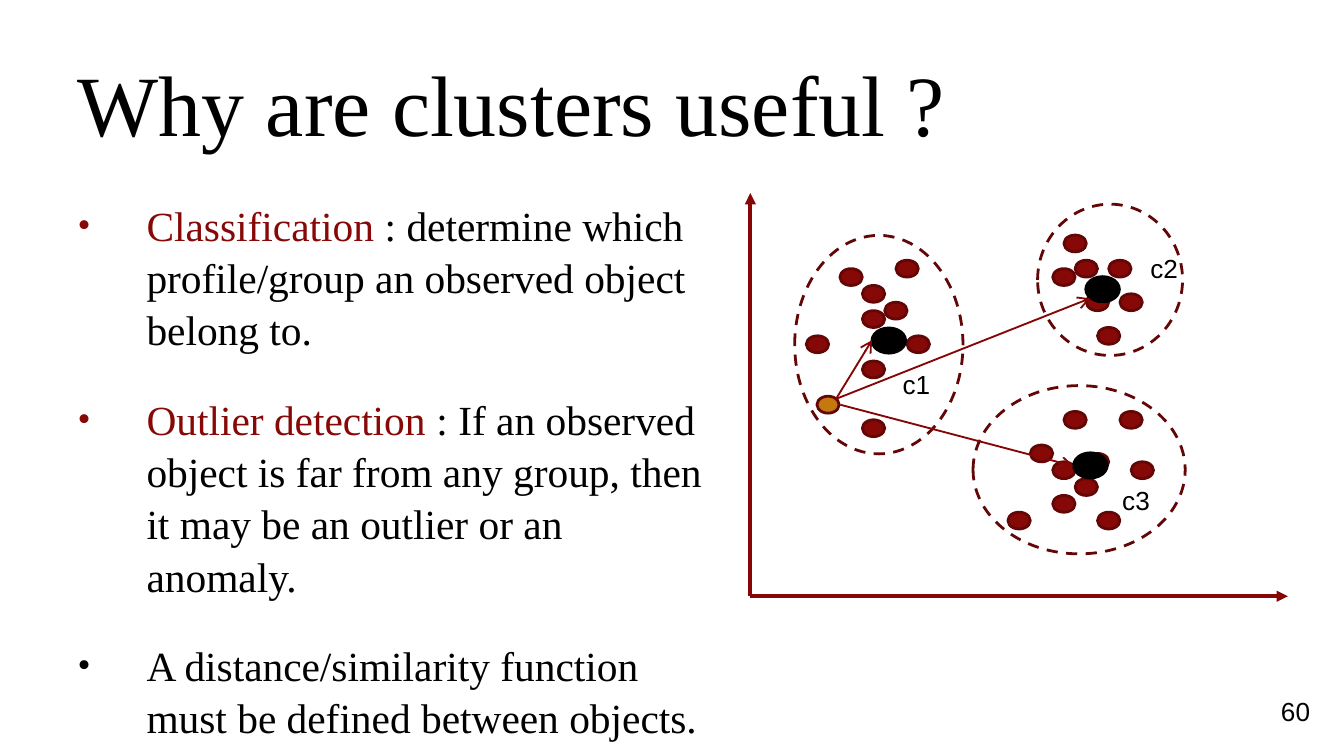
"""Build the slide "Why are clusters useful ?" with bullets and a cluster diagram."""
from lxml import etree
from pptx import Presentation, util as u
from pptx.dml.color import RGBColor
from pptx.enum import dml, shapes, text
from pptx.oxml.ns import qn

COLOURS = {"ink": "000000", "accent": "860908", "edge": "630706",
           "axis": "860605", "outlier": "C47810"}
SERIF, SANS = "Times New Roman", "Arial"

TITLE = "Why are clusters useful ?"
BULLETS = [
    [("Classification", "accent"),
     (" : determine which profile/group an observed object belong to.", "ink")],
    [("Outlier detection ", "accent"),
     (": If an observed object is far from any group, then it may be an outlier or an anomaly.", "ink")],
    [("A distance/similarity function must be defined between objects.", "ink")],
]
PAGE = "60"

PLOT = (14.18, 3.65, 10.16, 7.62)
GRID = 48
CLUSTERS = [
    {"label": "c1", "label_at": (16.81, 6.83), "ring": (15.02, 4.45, 3.18, 4.13),
     "centre": (16.48, 6.2),
     "members": [(8, 9), (5, 17), (10, 27), (10, 14), (10, 20), (14, 17),
                 (10, 11), (12, 13), (13, 8)]},
    {"label": "c2", "label_at": (21.49, 4.65), "ring": (19.61, 3.86, 2.74, 2.86),
     "centre": (20.52, 5.23),
     "members": [(27, 9), (30, 12), (32, 8), (31, 16), (28, 5), (29, 8), (33, 12)]},
    {"label": "c3", "label_at": (20.96, 9.04), "ring": (18.39, 7.29, 4.01, 3.18),
     "centre": (20.29, 8.56),
     "members": [(28, 26), (25, 30), (30, 31), (34, 32), (31, 38), (33, 26),
                 (27, 36), (27, 32), (29, 34), (23, 38)]},
]
OUTLIER = (15.44, 7.49, 0.42, 0.32)
DISTANCES = [((15.8, 7.54), (16.48, 6.43)),
             ((15.8, 7.54), (20.6, 5.64)),
             ((15.88, 7.65), (20.29, 8.81))]


def rgb(name):
    return RGBColor.from_string(COLOURS[name])


def lengths(values):
    return [u.Cm(value) for value in values]


def apply(target, formats):
    for name, value in formats.items():
        setattr(target, name, value)


def add_text(slide, box, paragraphs, font, size, frame_format, paragraph_format):
    frame = slide.shapes.add_textbox(*lengths(box)).text_frame
    apply(frame, frame_format)
    for index, runs in enumerate(paragraphs):
        paragraph = frame.paragraphs[0] if index == 0 else frame.add_paragraph()
        apply(paragraph, paragraph_format)
        for words, colour in runs:
            run = paragraph.add_run()
            run.text = words
            apply(run.font, {"name": font, "size": u.Pt(size)})
            run.font.color.rgb = rgb(colour)
    return frame


def add_bullet(paragraph, colour):
    properties = paragraph._p.get_or_add_pPr()
    apply_indent = {"marL": u.Cm(1.3), "indent": -u.Cm(1.3)}
    for name, value in apply_indent.items():
        properties.set(name, str(int(value)))
    tint = etree.SubElement(properties, qn("a:buClr"))
    etree.SubElement(tint, qn("a:srgbClr"), val=COLOURS[colour])
    etree.SubElement(properties, qn("a:buSzPct"), val="90000")
    etree.SubElement(properties, qn("a:buFont"), typeface=SERIF)
    etree.SubElement(properties, qn("a:buChar"), char="•")


def add_oval(slide, box, fill, edge, dash=None):
    oval = slide.shapes.add_shape(shapes.MSO_SHAPE.OVAL, *lengths(box))
    oval.shadow.inherit = False
    if fill:
        oval.fill.solid()
        oval.fill.fore_color.rgb = rgb(fill)
    else:
        oval.fill.background()
    oval.line.color.rgb = rgb(edge)
    apply(oval.line, {"width": u.Pt(1.5), "dash_style": dash})


def add_arrow(slide, start, end, width, head):
    arrow = slide.shapes.add_connector(
        shapes.MSO_CONNECTOR.STRAIGHT, *lengths(start + end))
    arrow.line.color.rgb = rgb("axis")
    arrow.line.width = u.Pt(width)
    etree.SubElement(arrow.line._get_or_add_ln(), qn("a:tailEnd"), type=head)
    etree.SubElement(arrow._element.spPr, qn("a:effectLst"))


def add_plot(slide):
    left, top, width, height = PLOT
    column, row = width / GRID, height / GRID
    origin = (left, top + height)
    for tip in [(left, top), (left + width, top + height)]:
        add_arrow(slide, origin, tip, 2, "triangle")
    for cluster in CLUSTERS:
        for x, y in cluster["members"]:
            dot = (left + x * column, top + y * row, 2 * column, 2 * row)
            add_oval(slide, dot, "accent", "edge")
    for cluster in CLUSTERS:
        add_oval(slide, cluster["ring"], None, "edge", dml.MSO_LINE.DASH)
        add_oval(slide, cluster["centre"] + (3 * column, 3 * row), "ink", "ink")
    add_oval(slide, OUTLIER, "outlier", "edge")
    for start, end in DISTANCES:
        add_arrow(slide, start, end, 1, "arrow")
    for cluster in CLUSTERS:
        add_text(slide, cluster["label_at"] + (1.04, 0.86),
                 [[(cluster["label"], "ink")]], SANS, 14, {"word_wrap": False}, {})


def main():
    deck = Presentation()
    apply(deck, {"slide_width": u.Cm(25.4), "slide_height": u.Cm(14.29)})
    slide = deck.slides.add_slide(deck.slide_layouts[6])
    middle = {"word_wrap": True, "vertical_anchor": text.MSO_ANCHOR.MIDDLE}
    add_text(slide, (1.22, 1.04, 21.64, 1.8), [[(TITLE, "ink")]], SERIF, 46, middle, {})
    body = add_text(slide, (1.22, 3.61, 12.37, 9.53), BULLETS, SERIF, 22.2,
                    {"word_wrap": True}, {"line_spacing": 1.05})
    for paragraph, runs in zip(body.paragraphs, BULLETS):
        add_bullet(paragraph, runs[0][1])
    for paragraph in body.paragraphs[1:]:
        paragraph.space_before = u.Pt(20)
    add_text(slide, (20.9, 13.13, 4.11, 0.61), [[(PAGE, "ink")]], SANS, 14, middle,
             {"alignment": text.PP_ALIGN.RIGHT})
    add_plot(slide)
    deck.save("out.pptx")


if __name__ == "__main__":
    main()
